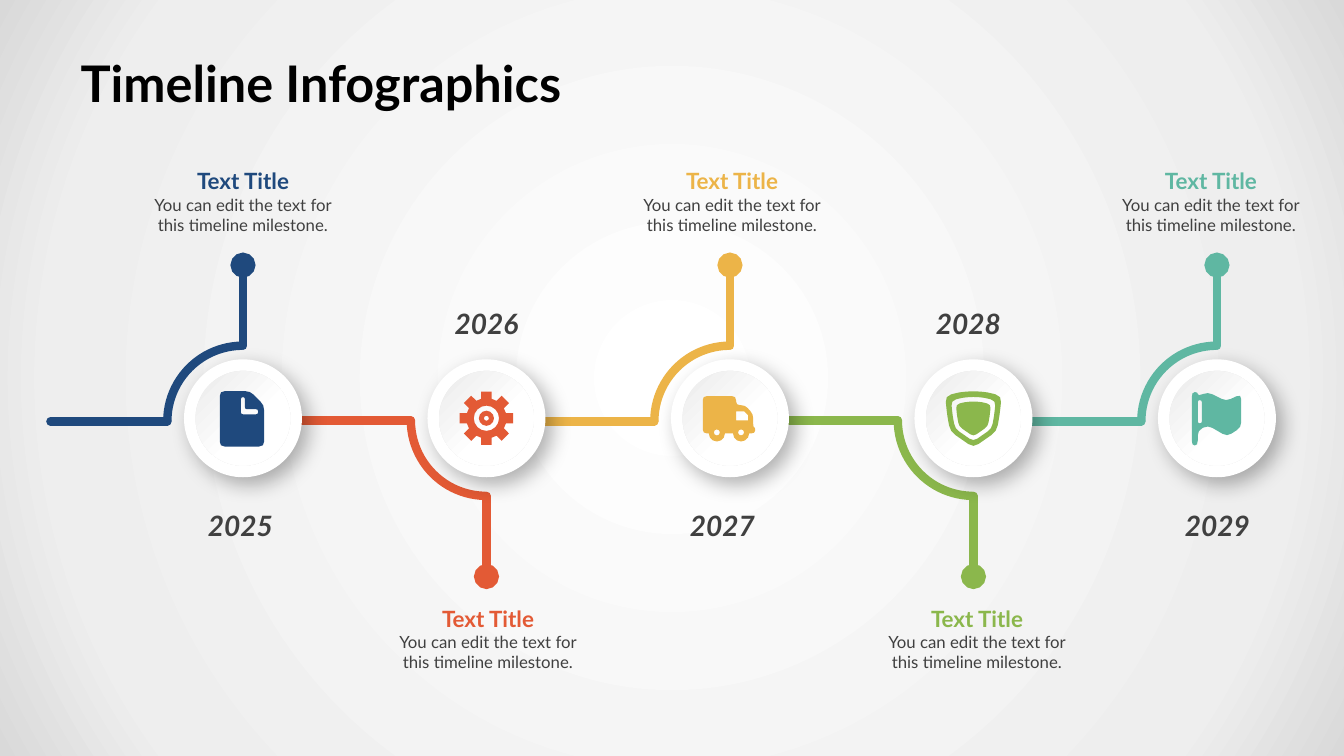
import math

import pptx
import pptx.dml.color
import pptx.enum.shapes
import pptx.enum.text
import pptx.oxml
import pptx.oxml.ns
import pptx.util
from pptx.util import Inches

RGBColor = pptx.dml.color.RGBColor
MSO_SHAPE = pptx.enum.shapes.MSO_SHAPE
PP_ALIGN = pptx.enum.text.PP_ALIGN

BLACK = RGBColor(0, 0, 0)
WHITE = RGBColor(0xFF, 0xFF, 0xFF)
PALE = RGBColor(0xEB, 0xEB, 0xEB)
GREY = RGBColor(0x40, 0x40, 0x40)
BLUE = RGBColor(0x1F, 0x49, 0x7D)
RED = RGBColor(0xE3, 0x5A, 0x35)
YELLOW = RGBColor(0xEC, 0xB4, 0x48)
GREEN = RGBColor(0x8B, 0xB7, 0x4C)
TEAL = RGBColor(0x5F, 0xB7, 0xA2)

FIRST_X, LAST_X, DISC_Y = 2.41, 12.07, 4.15
ARC_RADIUS = 0.75
DETAIL = "You can edit the text for this timeline milestone."
BACKDROP = [(0, WHITE), (81, RGBColor(0xEE, 0xEE, 0xEE)), (100, RGBColor(0xD9, 0xD9, 0xD9))]


def arc(x, y, radius, steps, end=360):
    angles = [math.radians(end * i / steps) for i in range(steps + 1)]
    return [(x + radius * math.cos(a), y + radius * math.sin(a)) for a in angles]


def rounded(corners, radius):
    """Return the outline of a polygon whose corners are rounded off."""
    def toward(corner, other):
        part = min(radius / math.dist(corner, other), 0.5)
        return tuple(c + (o - c) * part for c, o in zip(corner, other))

    outline = []
    for i, corner in enumerate(corners):
        enter = toward(corner, corners[i - 1])
        leave = toward(corner, corners[(i + 1) % len(corners)])
        middle = tuple((a + 2 * c + b) / 4 for a, c, b in zip(enter, corner, leave))
        outline += [enter, middle, leave]
    return outline


# Icon outlines are in hundredths of an inch from the middle of the disc.
def document_icon():
    return [rounded([(-23, -27), (7, -27), (21, -13), (21, 28), (-23, 28)], 5),
            rounded([(-2, -21), (2, -21), (2, -9), (15, -9), (15, -4), (-2, -4)], 2)]


def gear_icon():
    teeth = []
    for tooth in range(0, 360, 45):
        for offset, radius in [(-15, 20), (-11, 27), (11, 27), (15, 20)]:
            angle = math.radians(tooth + offset)
            teeth.append((radius * math.cos(angle), radius * math.sin(angle)))
    return [teeth, arc(0, 0, 12.5, 16), arc(0, 0, 7.5, 12), arc(0, 0, 2.5, 8)]


def truck_icon():
    body = [(-27, 15), (-27, -22), (6, -22), (6, -13), (15, -13), (23, -4), (23, 9), (25, 9),
            (25, 15)]
    wheels = arc(11, 15, 8, 6, 180) + arc(-13, 15, 8, 6, 180)
    window = [(6, -7), (14, -7), (18, -3), (18, 2), (6, 2)]
    return [rounded(body, 4) + wheels, window, arc(11, 14, 3, 8), arc(-13, 14, 3, 8)]


def shield_icon():
    right = [(14, -26), (28, -22), (26, -3), (23, 13)]
    left = [(-x, y) for x, y in reversed(right)]
    edge = rounded([(0, -27)] + right + [(0, 29)] + left, 6)
    return [[(x * size, y * size) for x, y in edge] for size in (1, 0.79, 0.62)]


def flag_icon():
    banner = [(-25, 27), (-25, -26), (-19, -26), (-19, -22), (-9, -26), (9, -17), (24, -24),
              (24, 9), (10, 18), (-9, 7), (-19, 12), (-19, 27)]
    return [rounded(banner, 5), rounded([(-19, -18), (-15, -18), (-15, 5), (-19, 5)], 2)]


class TimelineSlide:
    def __init__(self, presentation):
        self.font = "Lato"
        self.line_width = pptx.util.Pt(6)
        self.slide = presentation.slides.add_slide(presentation.slide_layouts[5])
        self.shapes = self.slide.shapes

    def backdrop(self, stops):
        """Fill the background with a radial gradient."""
        stop_xml = "".join(f'<a:gs pos="{pos * 1000}"><a:srgbClr val="{color}"/></a:gs>'
                           for pos, color in stops)
        background = pptx.oxml.parse_xml(
            f'<p:bg {pptx.oxml.ns.nsdecls("p", "a")}><p:bgPr><a:gradFill rotWithShape="1">'
            f'<a:gsLst>{stop_xml}</a:gsLst><a:path path="circle">'
            '<a:fillToRect l="50000" t="50000" r="50000" b="50000"/></a:path></a:gradFill>'
            '<a:effectLst/></p:bgPr></p:bg>')
        self.slide.element.cSld.insert(0, background)

    def style(self, paragraph, size, color, bold=False, italic=False):
        for run in paragraph.runs:
            font = run.font
            font.name, font.size, font.color.rgb = self.font, pptx.util.Pt(size), color
            font.bold, font.italic = bold, italic

    def title(self, text):
        heading = self.shapes.title
        heading.left, heading.top = Inches(0.67), Inches(0.43)
        heading.width, heading.height = Inches(12), Inches(0.78)
        frame = heading.text_frame
        frame.text = text
        frame.auto_size = pptx.enum.text.MSO_AUTO_SIZE.NONE
        frame.vertical_anchor = pptx.enum.text.MSO_ANCHOR.MIDDLE
        frame.margin_left = frame.margin_right = Inches(0.13)
        frame.margin_top = frame.margin_bottom = Inches(0.07)
        frame.paragraphs[0].alignment = PP_ALIGN.LEFT
        self.style(frame.paragraphs[0], 36, BLACK, bold=True)

    def label(self, left, top, width, height, text, wrap):
        """Add a centred text box and return its paragraphs."""
        frame = self.shapes.add_textbox(Inches(left), Inches(top),
                                        Inches(width), Inches(height)).text_frame
        frame.word_wrap = wrap
        frame.vertical_anchor = pptx.enum.text.MSO_ANCHOR.MIDDLE
        frame.text = text
        for paragraph in frame.paragraphs:
            paragraph.alignment = PP_ALIGN.CENTER
        return frame.paragraphs

    def year(self, left, top, text):
        self.style(self.label(left, top, 0.85, 0.44, text, False)[0], 20, GREY, True, True)

    def caption(self, left, top, color):
        heading, detail = self.label(left, top, 2.02, 0.99, f"Text Title\n{DETAIL}", True)
        self.style(heading, 16, color, bold=True)
        self.style(detail, 12, GREY)

    def stroke(self, shape, color):
        """Give a line its colour, width and round ends."""
        shape.line.color.rgb, shape.line.width = color, self.line_width
        outline = shape.line._get_or_add_ln()
        outline.set("cap", "rnd")
        outline.append(pptx.oxml.parse_xml(f'<a:round {pptx.oxml.ns.nsdecls("a")}/>'))
        return outline

    def straight(self, x1, y1, x2, y2, color, dot=False):
        line = self.shapes.add_connector(pptx.enum.shapes.MSO_CONNECTOR.STRAIGHT, Inches(x1),
                                         Inches(y1), Inches(x2), Inches(y2))
        outline = self.stroke(line, color)
        if dot:
            outline.append(pptx.oxml.parse_xml(
                f'<a:tailEnd {pptx.oxml.ns.nsdecls("a")} type="oval"/>'))
        line._element.spPr.append(pptx.oxml.parse_xml(
            f'<a:effectLst {pptx.oxml.ns.nsdecls("a")}/>'))

    def branch(self, x, up, color):
        """Draw the track into a milestone, its bend and its dotted stem."""
        y, side = (4.18, -1) if up else (4.17, 1)
        bend = self.shapes.add_shape(MSO_SHAPE.ARC, Inches(x - ARC_RADIUS),
                                     Inches(y - ARC_RADIUS), Inches(1.5), Inches(1.5))
        bend.shadow.inherit = False
        bend.adjustments[0], bend.adjustments[1] = 108.13, 161.31
        bend.fill.background()
        if not up:
            bend._element.spPr.xfrm.set("flipV", "1")
        self.stroke(bend, color)
        self.straight(x - ARC_RADIUS, y, x - 1.91, y, color)
        self.straight(x, y + side * ARC_RADIUS, x, y + side * 1.55, color, dot=True)

    def disc(self, x, diameter):
        circle = self.shapes.add_shape(MSO_SHAPE.OVAL, Inches(x - diameter / 2),
                                       Inches(DISC_Y - diameter / 2), Inches(diameter),
                                       Inches(diameter))
        circle.line.fill.background()
        circle.shadow.inherit = False
        return circle

    def node(self, x):
        rim = self.disc(x, 1.17)
        rim.fill.solid()
        rim.fill.fore_color.rgb = WHITE
        effects = rim._element.spPr.find(pptx.oxml.ns.qn("a:effectLst"))
        effects.append(pptx.oxml.parse_xml(
            f'<a:outerShdw {pptx.oxml.ns.nsdecls("a")} blurRad="{pptx.util.Pt(15)}" '
            f'dist="{pptx.util.Pt(7)}" dir="2700000" algn="tl" rotWithShape="0">'
            '<a:srgbClr val="000000"><a:alpha val="30000"/></a:srgbClr></a:outerShdw>'))
        fill = self.disc(x, 0.94).fill
        fill.gradient()
        fill.gradient_angle = 315
        for stop, color, position in zip(fill.gradient_stops, (PALE, WHITE), (0, 0.6)):
            stop.color.rgb, stop.position = color, position

    def icon(self, x, outlines, color):
        unit = Inches(0.01)
        contours = [[(px * unit, py * unit) for px, py in outline] for outline in outlines]
        builder = self.shapes.build_freeform(*contours[0][0])
        for i, contour in enumerate(contours):
            if i:
                builder.move_to(*contour[0])
            builder.add_line_segments(contour[1:], close=True)
        symbol = builder.convert_to_shape(Inches(x), Inches(DISC_Y))
        symbol.shadow.inherit = False
        symbol.fill.solid()
        symbol.fill.fore_color.rgb = color
        symbol.line.fill.background()


def main():
    presentation = pptx.Presentation()
    presentation.slide_width, presentation.slide_height = Inches(13.33), Inches(7.5)
    timeline = TimelineSlide(presentation)
    timeline.backdrop(BACKDROP)
    timeline.title("Timeline Infographics")
    milestones = [("2025", BLUE, document_icon, 1.96, 1.4), ("2026", RED, gear_icon, 4.4, 3.83),
                  ("2027", YELLOW, truck_icon, 6.74, 6.25),
                  ("2028", GREEN, shield_icon, 9.18, 8.68), ("2029", TEAL, flag_icon, 11.65, 11)]
    pitch = (LAST_X - FIRST_X) / (len(milestones) - 1)
    centers = [FIRST_X + i * pitch for i in range(len(milestones))]
    for i, (x, milestone) in enumerate(zip(centers, milestones)):
        timeline.branch(x, i % 2 == 0, milestone[1])
    for i, (x, (year, color, icon, year_left, caption_left)) in enumerate(zip(centers, milestones)):
        up = i % 2 == 0
        timeline.node(x)
        timeline.icon(x, icon(), color)
        timeline.year(year_left, 4.99 if up else 2.99, year)
        timeline.caption(caption_left, 1.5 if up else 5.84, color)
    presentation.save("out.pptx")


if __name__ == "__main__":
    main()
